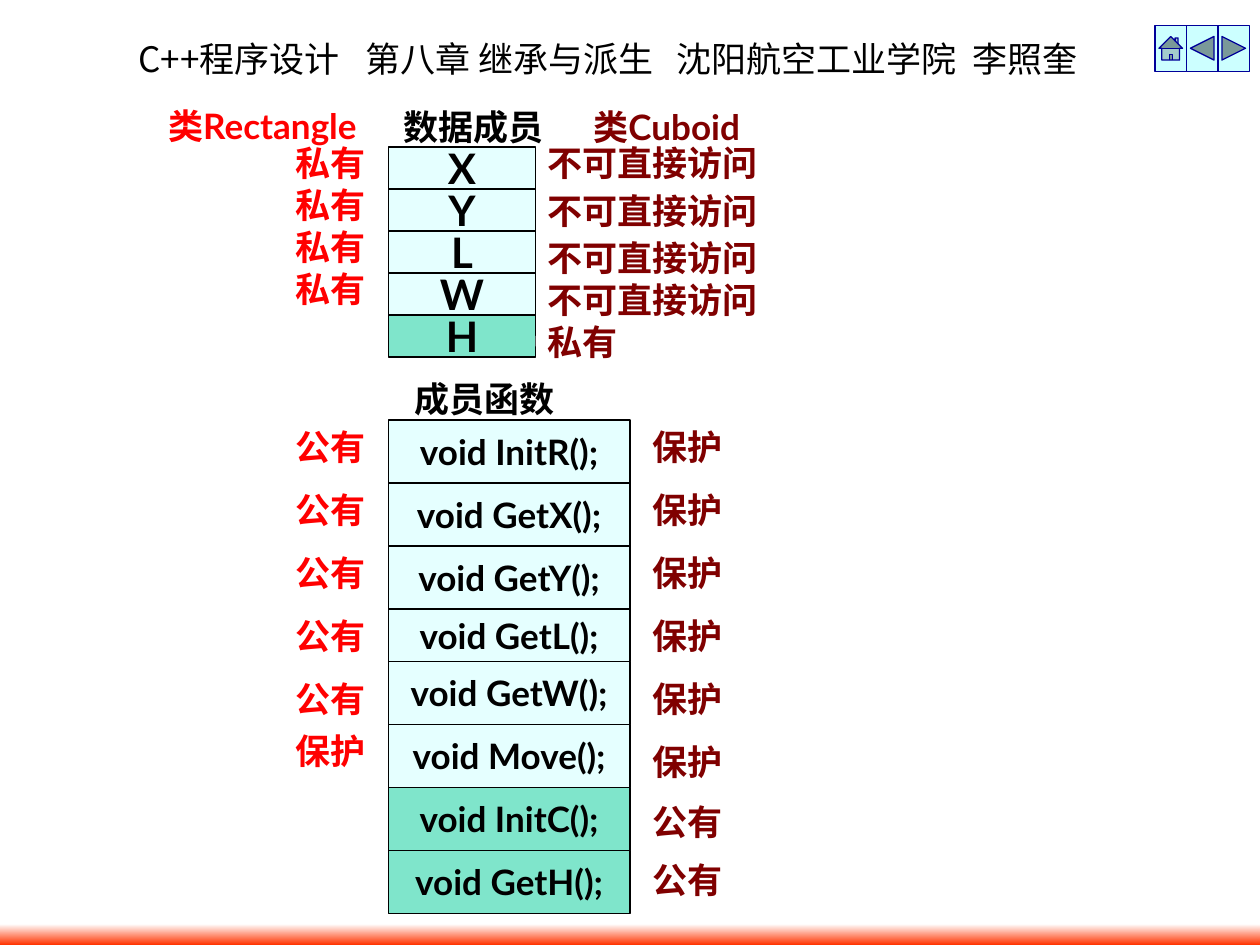
from lxml import etree
from pptx import Presentation, util as u
from pptx.dml.color import RGBColor
from pptx.enum import shapes, text
from pptx.oxml.ns import qn

WHITE = RGBColor(0xFF, 0xFF, 0xFF)
BLACK = RGBColor(0x00, 0x00, 0x00)
RED = RGBColor(0xFF, 0x00, 0x00)
MAROON = RGBColor(0x80, 0x00, 0x00)
PALE = RGBColor(0xCC, 0xFF, 0xFF)
GREEN = RGBColor(0x00, 0xCC, 0x99)
NAVY = RGBColor(0x00, 0x00, 0x99)
ORANGE = RGBColor(0xFF, 0x33, 0x00)

LATIN, CHINESE, JAPANESE = "Lato", "Noto Sans CJK SC", "Noto Sans CJK JP"
COLUMNS = 120
UNIT = u.Inches(10) // COLUMNS
TABLE_LEFT = 37
CENTER, LEFT = text.PP_ALIGN.CENTER, text.PP_ALIGN.LEFT

DATA_ROWS = [
    ("X", 15, "私有", 15, "不可直接访问 "),
    ("Y", 19, "私有", 19.5, "不可直接访问 "),
    ("L", 23, "私有", 24, "不可直接访问 "),
    ("W", 27, "私有", 28, "不可直接访问 "),
    ("H", None, None, 32, "私有"),
]
FUNCTION_ROWS = [
    ("InitR", 6, 42, "公有", 42, "保护"),
    ("GetX", 6, 48, "公有", 48, "保护"),
    ("GetY", 6, 54, "公有", 54, "保护"),
    ("GetL", 5, 60, "公有", 60, "保护"),
    ("GetW", 6, 66, "公有", 66, "保护"),
    ("Move", 6, 71, "保护", 72, "保护"),
    ("InitC", 6, None, None, 77.75, "公有"),
    ("GetH", 6, None, None, 83.25, "公有"),
]


def on_grid(*cells):
    return [round(cell * UNIT) for cell in cells]


def set_east_asian(properties, name):
    etree.SubElement(properties, qn("a:ea")).set("typeface", name)


def add_words(box, words, color, size=20, align=CENTER, inset=0.05):
    frame = box.text_frame
    frame.word_wrap = False
    frame.vertical_anchor = text.MSO_ANCHOR.MIDDLE
    frame.margin_top = frame.margin_bottom = u.Inches(inset)
    para = frame.paragraphs[0]
    para.text = words
    para.alignment = align
    para.font.size = u.Pt(size)
    para.font.bold = True
    para.font.color.rgb = color
    para.font.name = LATIN
    set_east_asian(para._p.pPr.find(qn("a:defRPr")), CHINESE)


def add_shape(slide, kind, area, fill, line=None):
    shape = slide.shapes.add_shape(kind, *on_grid(*area))
    shape.shadow.inherit = False
    shape.fill.solid()
    shape.fill.fore_color.rgb = fill
    if line is None:
        shape.line.fill.background()
    else:
        shape.line.color.rgb = line
        shape.line.width = u.Pt(0.75)
    return shape


def add_panel(slide, area, words, color, fill=WHITE, line=None, **style):
    box = add_shape(slide, shapes.MSO_SHAPE.RECTANGLE, area, fill, line)
    tint = box._element.spPr.find(qn("a:solidFill"))[0]
    etree.SubElement(tint, qn("a:alpha")).set("val", "50000")
    add_words(box, words, color, **style)


def add_base_access(slide, top, words):
    box = slide.shapes.add_textbox(*on_grid(27, top, 8, 1))
    add_words(box, words, RED, align=LEFT, inset=0.03)
    box.text_frame.margin_right = 0


def add_derived_access(slide, left, top, words, align=LEFT):
    add_panel(slide, (left, top, 19, 1), words, MAROON, align=align, inset=0.03)


def add_header(slide):
    box = slide.shapes.add_textbox(*on_grid(12, 3, 99, 5.25))
    box.text_frame.word_wrap = True
    para = box.text_frame.paragraphs[0]
    stops = etree.SubElement(para._p.get_or_add_pPr(), qn("a:tabLst"))
    for inches in (1.8, 4.27, 6.62):
        stop = etree.SubElement(stops, qn("a:tab"))
        stop.set("pos", str(u.Inches(inches)))
        stop.set("algn", "l")
    para.font.size = u.Pt(20)
    para.font.color.rgb = BLACK
    parts = [("C++程序设计", JAPANESE), ("\t第八章 继承与派生", CHINESE),
             ("\t沈阳航空工业学院", JAPANESE), ("\t李照奎", CHINESE)]
    for words, name in parts:
        span = para.add_run()
        span.text = words
        span.font.name = name
        set_east_asian(span._r.rPr, name)


def add_footer(slide):
    band = add_shape(slide, shapes.MSO_SHAPE.RECTANGLE,
                     (0, 88, COLUMNS, 2), WHITE)
    band.fill.gradient()
    band.fill.gradient_angle = 270
    for stop, color, position in zip(band.fill.gradient_stops,
                                     (WHITE, ORANGE), (0, 1)):
        stop.color.rgb = color
        stop.position = position


def add_buttons(slide):
    kinds = (shapes.MSO_SHAPE.ACTION_BUTTON_HOME,
             shapes.MSO_SHAPE.ACTION_BUTTON_BACK_OR_PREVIOUS,
             shapes.MSO_SHAPE.ACTION_BUTTON_FORWARD_OR_NEXT)
    for index, kind in enumerate(kinds):
        add_shape(slide, kind, (110 + 3 * index, 2.4, 3, 4.4), PALE, NAVY)


def add_data_members(slide):
    add_panel(slide, (52, 10, 23, 4), "类Cuboid", MAROON)
    add_panel(slide, (18, 9, 14, 6), "类Rectangle", RED)
    add_panel(slide, (36, 10, 19, 4), "数据成员 ", BLACK)
    for index, (name, base_top, base, top, derived) in enumerate(DATA_ROWS):
        inherited = base is not None
        add_panel(slide, (TABLE_LEFT, 14 + 4 * index, 14, 4), name, BLACK,
                  PALE if inherited else GREEN, BLACK, size=24)
        if inherited:
            add_base_access(slide, base_top, base)
            add_derived_access(slide, 53, top, derived, CENTER)
        else:
            add_derived_access(slide, 51, top, derived)


def add_member_functions(slide):
    add_panel(slide, (TABLE_LEFT, 35, 19, 6), "成员函数 ", BLACK)
    row_top = 40
    for name, height, base_top, base, top, derived in FUNCTION_ROWS:
        inherited = base is not None
        add_panel(slide, (TABLE_LEFT, row_top, 23, height), f"void {name}();",
                  BLACK, PALE if inherited else GREEN, BLACK)
        if inherited:
            add_base_access(slide, base_top, base)
        add_derived_access(slide, 61, top, derived)
        row_top += height


def main():
    deck = Presentation()
    deck.slide_width, deck.slide_height = u.Inches(10), u.Inches(7.5)
    page = deck.slides.add_slide(deck.slide_layouts[6])
    add_header(page)
    add_footer(page)
    add_buttons(page)
    add_data_members(page)
    add_member_functions(page)
    deck.save("out.pptx")


if __name__ == "__main__":
    main()
